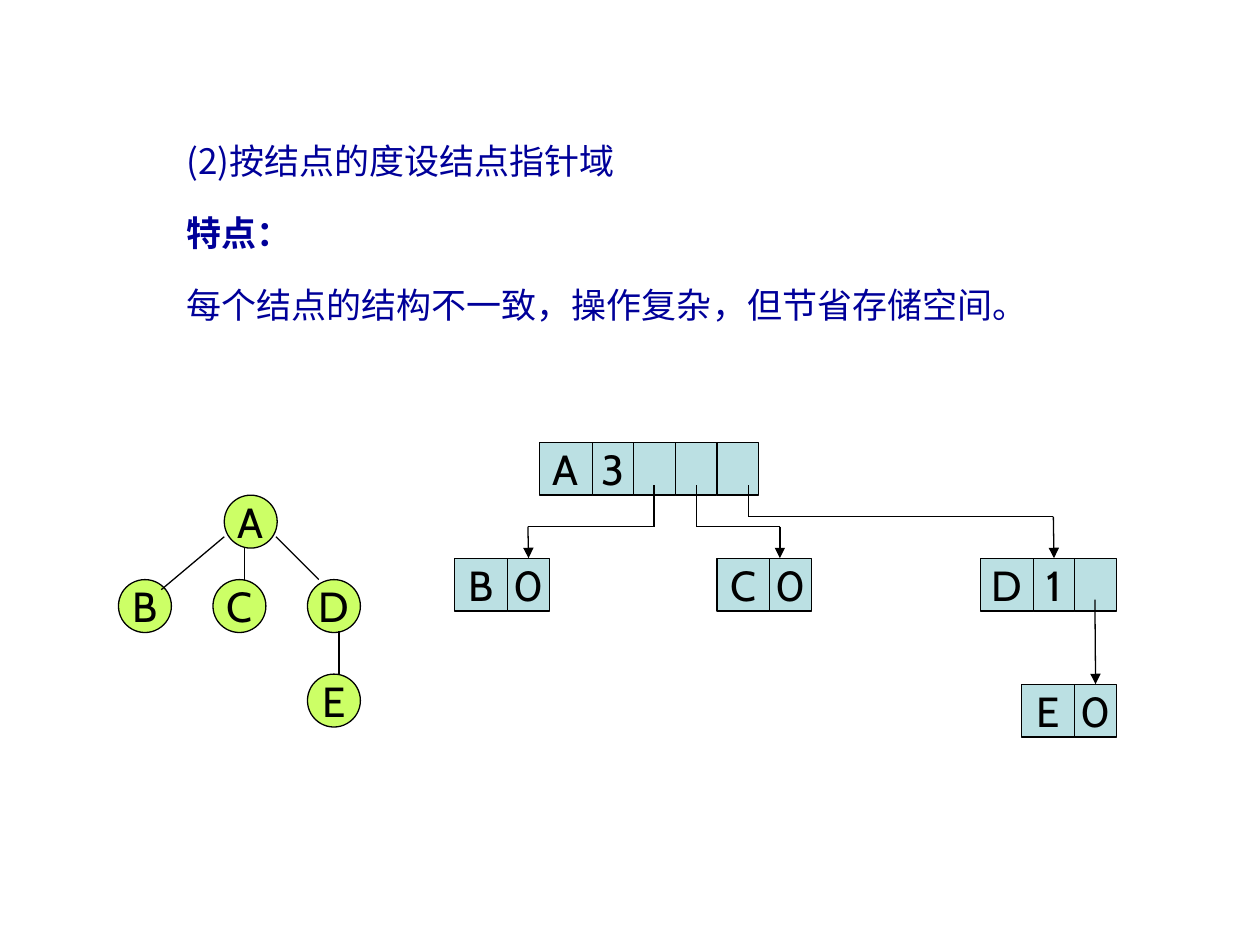
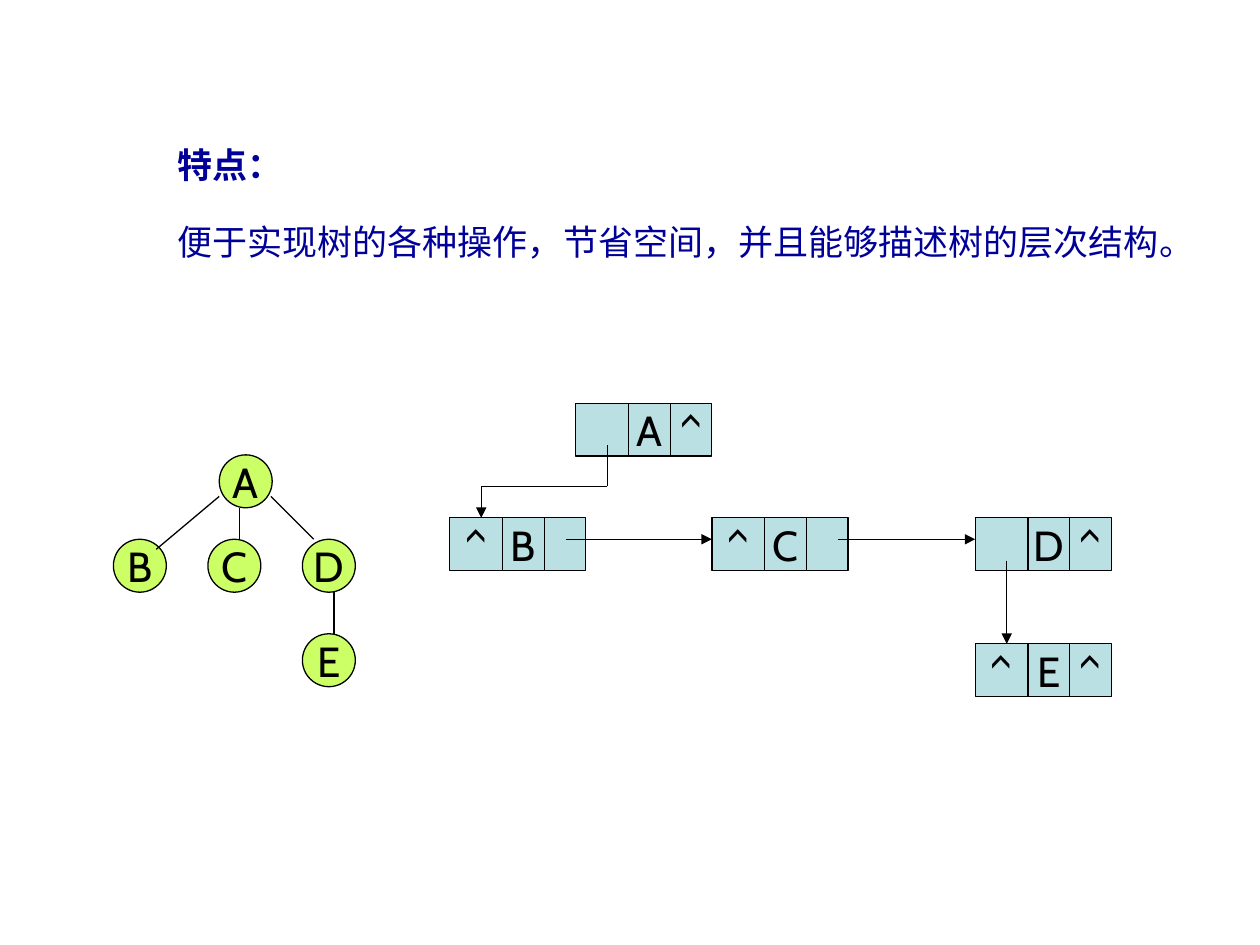
from itertools import pairwise

from lxml.etree import SubElement
from pptx import Presentation
from pptx.dml.color import RGBColor
from pptx.enum.shapes import MSO_CONNECTOR, MSO_SHAPE
from pptx.enum.text import MSO_ANCHOR, PP_ALIGN
from pptx.oxml.ns import qn
from pptx.util import Inches, Pt

NAVY = RGBColor(0x00, 0x00, 0x99)
BLACK = RGBColor(0x00, 0x00, 0x00)
LIME = RGBColor(0xCC, 0xFF, 0x66)
PALE_BLUE = RGBColor(0xBB, 0xE0, 0xE3)
HEAD_FONT, NODE_FONT = "Noto Sans CJK SC", "Cabin"

NODE_SIZE = 0.42  # circle diameter, record height and width of a record's first cell
CELL_WIDTH = 0.33  # width of the other cells
TOP_SIDE = 0

# Tree positions, relative to the left and top of the tree
TREE_NODES = {"C": (0.75, 0.67), "B": (0, 0.67), "A": (0.84, 0),
              "D": (1.5, 0.67), "E": (1.5, 1.42)}
TREE_EDGES = [((0.84, 0.33), (0.34, 0.75)), ((1, 0.42), (1, 0.67)),
              ((1.25, 0.33), (1.59, 0.67)), ((1.75, 1.08), (1.75, 1.42))]

# Records: (left, top, cell texts). Links: (route, (record, cell) whose top it joins).
SLIDES = [
    {
        "text_box": (1.38, 0.99, 7.5, 1.75), "line_spacing": 1.2, "indent": 0,
        "paragraphs": [("(2)按结点的度设结点指针域", False), ("特点：", True),
                       ("每个结点的结构不一致，操作复杂，但节省存储空间。", False)],
        "tree": (0.94, 3.93),
        "records": [(4.28, 3.51, ["A", "3", "", "", ""]),
                    (3.61, 4.43, ["B", "0"]),
                    (5.69, 4.43, ["C", "0"]),
                    (7.78, 4.43, ["D", "1", ""]),
                    (8.11, 5.43, ["E", "0"])],
        "links": [([(5.19, 3.85), (5.19, 4.18), (4.19, 4.18), (4.19, 4.43)], (1, 1)),
                  ([(5.53, 3.85), (5.53, 4.18), (6.19, 4.18), (6.19, 4.43)], None),
                  ([(5.94, 3.85), (5.94, 4.1), (8.36, 4.1), (8.36, 4.43)], (3, 1)),
                  ([(8.69, 4.76), (8.69, 5.43)], (4, 1))],
    },
    {
        "text_box": (0.75, 0.99, 8.61, 1.57), "line_spacing": 1.3, "indent": 0.56,
        "paragraphs": [("特点：", True),
                       ("便于实现树的各种操作，节省空间，并且能够描述树的层次结构。", False)],
        "tree": (0.9, 3.61),
        "records": [(4.57, 3.2, ["", "A", "^"]),
                    (3.57, 4.11, ["^", "B", ""]),
                    (5.65, 4.11, ["^", "C", ""]),
                    (7.74, 4.11, ["", "D", "^"]),
                    (7.74, 5.11, ["^", "E", "^"])],
        "links": [([(4.82, 3.53), (4.82, 3.86), (3.82, 3.86), (3.82, 4.11)], None),
                  ([(7.99, 4.45), (7.99, 5.11)], None),
                  ([(4.49, 4.28), (5.65, 4.28)], None),
                  ([(6.65, 4.28), (7.74, 4.28)], None)],
    },
]


def write_paragraph(paragraph, text, *, font, size, color, bold=False,
                    align=PP_ALIGN.LEFT, indent=0):
    paragraph.alignment = align
    if indent:
        paragraph._p.get_or_add_pPr().set("indent", str(Inches(indent)))
    run = paragraph.add_run()
    run.text = text
    run.font.name = font
    run.font.size = Pt(size)
    run.font.bold = bold
    run.font.color.rgb = color
    SubElement(run._r.get_or_add_rPr(), qn("a:ea"), typeface=font)


def add_labelled_shape(slide, preset, left, top, width, fill, text):
    shape = slide.shapes.add_shape(preset, Inches(left), Inches(top),
                                   Inches(width), Inches(NODE_SIZE))
    shape.shadow.inherit = False
    shape.fill.solid()
    shape.fill.fore_color.rgb = fill
    shape.line.color.rgb = BLACK
    shape.line.width = Pt(0.75)
    if text:
        frame = shape.text_frame
        frame.word_wrap = False
        frame.vertical_anchor = MSO_ANCHOR.MIDDLE
        write_paragraph(frame.paragraphs[0], text, font=NODE_FONT, size=24,
                        color=BLACK, align=PP_ALIGN.CENTER)
    return shape


presentation = Presentation()
presentation.slide_width = Inches(10)
presentation.slide_height = Inches(7.5)
blank_layout = presentation.slide_layouts[6]

for content in SLIDES:
    slide = presentation.slides.add_slide(blank_layout)

    # Explanation
    text_box = slide.shapes.add_textbox(*map(Inches, content["text_box"]))
    frame = text_box.text_frame
    frame.word_wrap = True
    for index, (text, bold) in enumerate(content["paragraphs"]):
        paragraph = frame.add_paragraph() if index else frame.paragraphs[0]
        paragraph.line_spacing = content["line_spacing"]
        if index:
            paragraph.space_before = Pt(12.5)
        write_paragraph(paragraph, text, font=HEAD_FONT, size=20, color=NAVY,
                        bold=bold, indent=content["indent"])

    # Tree
    tree_left, tree_top = content["tree"]
    for name, (x, y) in TREE_NODES.items():
        add_labelled_shape(slide, MSO_SHAPE.OVAL, tree_left + x, tree_top + y,
                           NODE_SIZE, LIME, name)

    # Linked records
    cells = {}
    for record, (left, top, texts) in enumerate(content["records"]):
        for column, text in enumerate(texts):
            width = CELL_WIDTH if column else NODE_SIZE
            cells[record, column] = add_labelled_shape(
                slide, MSO_SHAPE.RECTANGLE, left, top, width, PALE_BLUE, text)
            left += width

    # Tree edges and pointer arrows, as (start, end, has arrowhead, target cell)
    lines = [((tree_left + x1, tree_top + y1), (tree_left + x2, tree_top + y2), False, None)
             for (x1, y1), (x2, y2) in TREE_EDGES]
    for route, target in content["links"]:
        for start, end in pairwise(route):
            is_last = end == route[-1]
            lines.append((start, end, is_last, target if is_last else None))

    for start, end, has_arrowhead, target in lines:
        connector = slide.shapes.add_connector(MSO_CONNECTOR.STRAIGHT,
                                               *map(Inches, start + end))
        connector.line.color.rgb = BLACK
        connector.line.width = Pt(0.75)
        if has_arrowhead:
            SubElement(connector.line._get_or_add_ln(), qn("a:tailEnd"), type="triangle")
        SubElement(connector._element.spPr, qn("a:effectLst"))
        if target:
            connector.end_connect(cells[target], TOP_SIDE)

presentation.save("out.pptx")
